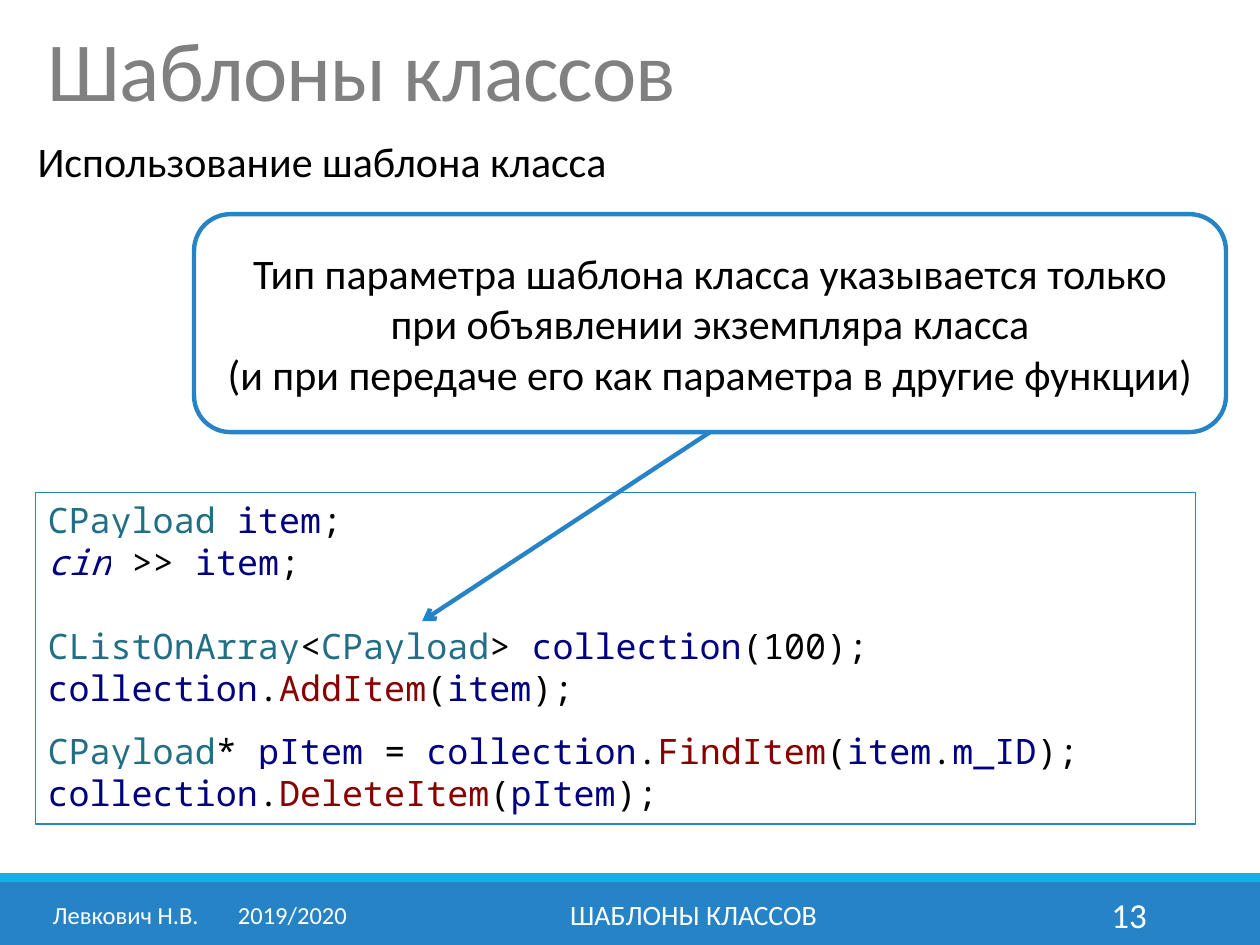
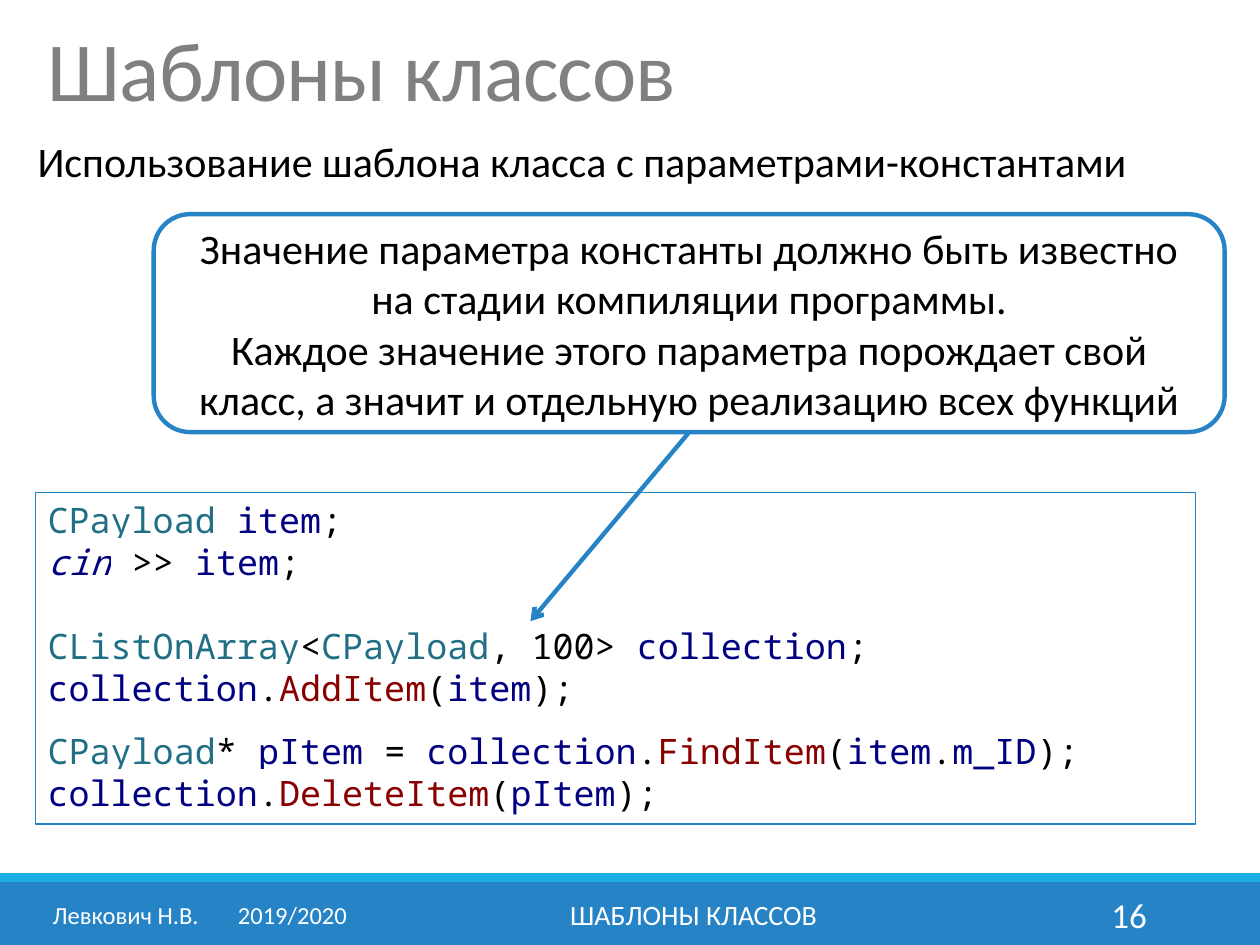
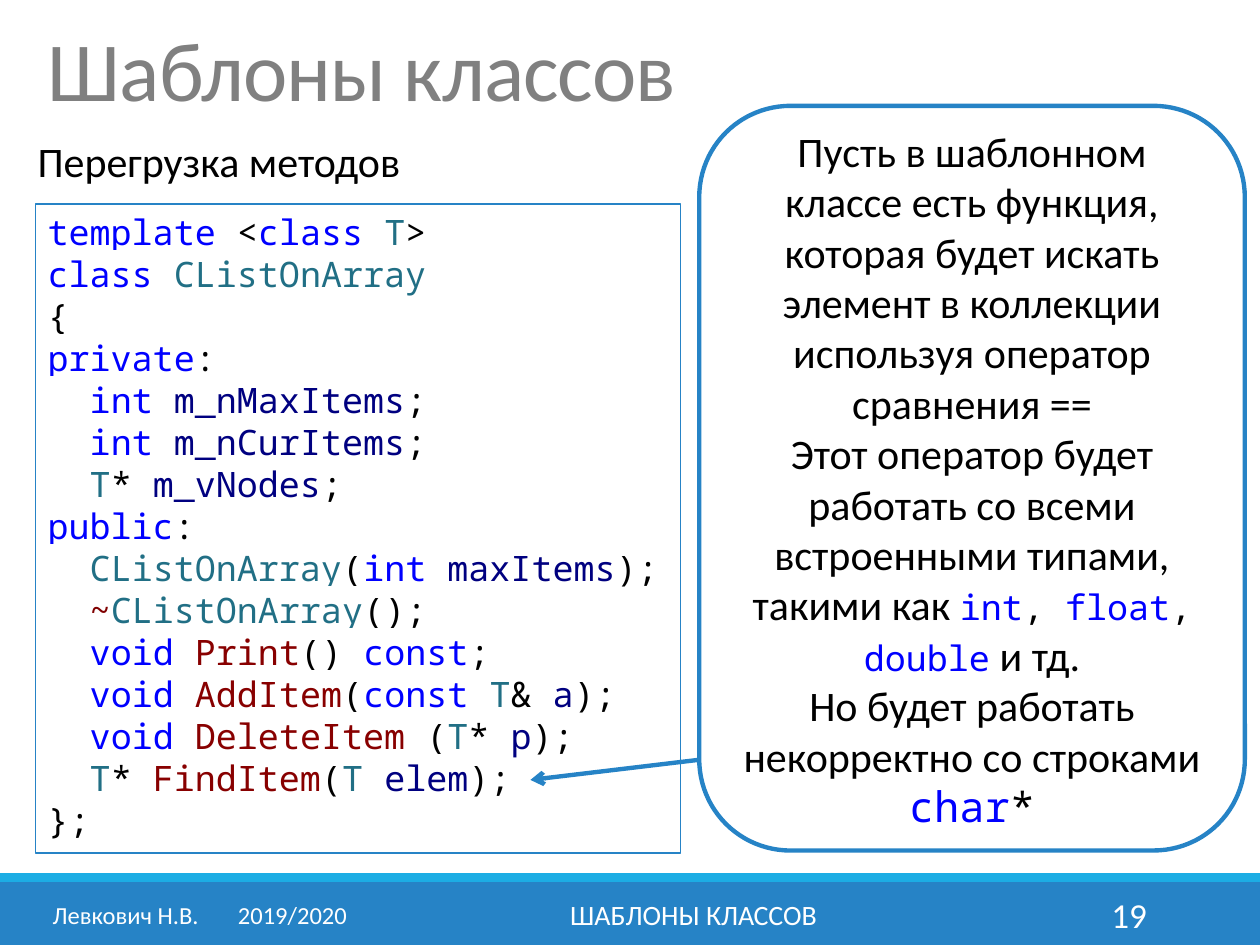
"""Build three lecture slides on class templates in C++."""
import itertools

import pptx
import pptx.dml.color
import pptx.enum.shapes
import pptx.enum.text
import pptx.oxml
import pptx.oxml.ns
import pptx.util

Inches, Pt = pptx.util.Inches, pptx.util.Pt
KINDS = pptx.enum.shapes.MSO_SHAPE
ALIGN = pptx.enum.text.PP_ALIGN
ANCHOR = pptx.enum.text.MSO_ANCHOR
FIT = pptx.enum.text.MSO_AUTO_SIZE

SANS, MONO = "Calibri", "Noto Sans Mono"
BLUE, SKY, GREY, WHITE, BLACK = "2683C6", "1CADE4", "808080", "FFFFFF", "000000"
NAVY = "000080"
WORDS = {
    "0000FF": "template class private public int float double char void const",
    "216F85": "CPayload CListOnArray T",
    "880000": "AddItem FindItem DeleteItem Print",
    "800000": "~",
}
HUES = {word: hue for hue, words in WORDS.items() for word in words.split()}

TITLE = "Шаблоны классов"
BANDS = [((0, 7, 10, 0.5), BLUE), ((0, 6.93, 10, 0.07), SKY)]
AUTHOR = "Левкович Н.В. \t2019/2020"

USAGE = """CPayload item;
cin >> item;

{}
collection.AddItem(item);
CPayload* pItem = collection.FindItem(item.m_ID);
collection.DeleteItem(pItem);"""
CLASS = """template <class T>
class CListOnArray
{
private:
  int m_nMaxItems;
  int m_nCurItems;
  T* m_vNodes;
public:
  CListOnArray(int maxItems);
  ~CListOnArray();
  void Print() const;
  void AddItem(const T& a);
  void DeleteItem (T* p);
  T* FindItem(T elem);
};"""
LOW, TALL = (0.28, 3.91, 9.21, 2.63), (0.28, 1.62, 5.12, 5.15)

SLIDES = [
    {
        "page": "13", "topic": "Использование шаблона класса", "depth": 4.57,
        "code": USAGE.format("CListOnArray<CPayload> collection(100);"), "area": LOW,
        "note": [
            ["Тип параметра шаблона класса указывается только при объявлении экземпляра класса"],
            ["(и при передаче его как параметра в другие функции)"],
        ],
        "frame": (1.54, 1.7, 8.19, 1.73), "start": None, "tip": (3.35, 4.93),
    },
    {
        "page": "16", "topic": "Использование шаблона класса с параметрами-константами", "depth": 4.57,
        "code": USAGE.format("CListOnArray<CPayload, 100> collection;"), "area": LOW,
        "note": [
            ["Значение параметра константы должно быть известно на стадии компиляции программы."],
            ["Каждое значение этого параметра порождает свой класс, "
             "а значит и отдельную реализацию всех функций"],
        ],
        "frame": (1.22, 1.7, 8.5, 1.73), "start": None, "tip": (4.21, 4.93),
    },
    {
        "page": "19", "topic": "Перегрузка методов", "depth": 0.47,
        "code": CLASS, "area": TALL,
        "note": [
            ["Пусть в шаблонном классе есть функция, которая будет искать "
             "элемент в коллекции используя оператор сравнения =="],
            ["Этот оператор будет работать со всеми встроенными типами, такими как ",
             ("int, float, double", 20), " и тд."],
            ["Но будет работать некорректно со строками ", ("char*", 24)],
        ],
        "frame": (5.55, 0.84, 4.33, 5.91), "start": (5.55, 6.03), "tip": (4.21, 6.19),
    },
]


def tint(hue):
    return pptx.dml.color.RGBColor.from_string(hue)


def node(tag, attrs="", inner=""):
    space = pptx.oxml.ns.nsdecls("a")
    return pptx.oxml.parse_xml(f"<a:{tag} {space} {attrs}>{inner}</a:{tag}>")


def style(font, name, size, hue):
    font.name, font.size = name, Pt(size)
    font.color.rgb = tint(hue)


def label(slide, box, text, size, hue=WHITE, align=ALIGN.LEFT, anchor=ANCHOR.MIDDLE, tab=None):
    frame = slide.shapes.add_textbox(*map(Inches, box)).text_frame
    frame.word_wrap, frame.vertical_anchor = True, anchor
    para = frame.paragraphs[0]
    para.text, para.alignment = text, align
    if tab:
        stop = node("tabLst", inner=f'<a:tab pos="{Inches(tab)}" algn="l"/>')
        para._p.get_or_add_pPr().append(stop)
    style(para.font, SANS, size, hue)
    return para


def panel(slide, kind, box, fill=None, width=None):
    shape = slide.shapes.add_shape(kind, *map(Inches, box))
    shape.shadow.inherit = False
    if fill:
        shape.fill.solid()
        shape.fill.fore_color.rgb = tint(fill)
    else:
        shape.fill.background()
    if width:
        shape.line.color.rgb, shape.line.width = tint(BLUE), Pt(width)
    else:
        shape.line.fill.background()
    return shape


def paint(para, text, size=None):
    """Add runs of code, coloured by word; a size also sets the code font."""
    for named, chars in itertools.groupby(text, lambda c: c.isalnum() or c == "_"):
        word = "".join(chars)
        run = para.add_run()
        run.text = word
        plain = NAVY if named and word[0].isalpha() else BLACK
        run.font.color.rgb = tint(HUES.get(word.strip(), plain))
        glow = node("highlight", inner=f'<a:srgbClr val="{WHITE}"/>')
        run._r.get_or_add_rPr().append(glow)
        if word == "cin":
            run.font.italic = True
        if size:
            run.font.name, run.font.size = MONO, Pt(size)


def lines(frame, count):
    """Give the frame's paragraphs, as many as asked for."""
    return [frame.paragraphs[0]] + [frame.add_paragraph() for _ in range(count - 1)]


def listing(slide, box, code):
    shape = panel(slide, KINDS.RECTANGLE, box, width=0.75)
    frame = shape.text_frame
    frame.vertical_anchor, frame.auto_size = ANCHOR.TOP, FIT.SHAPE_TO_FIT_TEXT
    rows = code.split("\n")
    pairs = [(row, prev) for prev, row in zip([None] + rows, rows) if row]
    for para, (row, prev) in zip(lines(frame, len(pairs)), pairs):
        para.alignment = ALIGN.LEFT
        if prev == "":
            para.space_before = Pt(24)
        elif row.startswith("CPayload*"):
            para.space_before = Pt(12)
        style(para.font, MONO, 20, BLACK)
        paint(para, row)


def callout(slide, box, note):
    shape = panel(slide, KINDS.ROUNDED_RECTANGLE, box, width=2.5)
    for para, parts in zip(lines(shape.text_frame, len(note)), note):
        para.alignment = ALIGN.CENTER
        style(para.font, SANS, 24, BLACK)
        for part in parts:
            if isinstance(part, tuple):
                paint(para, *part)
            else:
                para.add_run().text = part
    return shape


def arrow(slide, shape, start, tip):
    ends = map(Inches, (start or tip) + tip)
    link = slide.shapes.add_connector(pptx.enum.shapes.MSO_CONNECTOR.STRAIGHT, *ends)
    if not start:
        link.begin_connect(shape, 2)
    link.line.color.rgb, link.line.width = tint(BLUE), Pt(2.5)
    props = link.element.spPr
    props.find(pptx.oxml.ns.qn("a:ln")).append(node("tailEnd", 'type="arrow"'))
    props.append(node("effectLst"))


def head(slide):
    title = slide.shapes.title
    title.left, title.top, title.width, title.height = map(Inches, (0.28, 0.21, 9.45, 0.79))
    frame = title.text_frame
    frame.text = TITLE
    frame.vertical_anchor, frame.auto_size = ANCHOR.TOP, FIT.NONE
    para = frame.paragraphs[0]
    para.alignment, para.line_spacing = ALIGN.LEFT, 0.85
    style(para.font, SANS, 48, GREY)
    para.runs[0]._r.get_or_add_rPr().set("spc", "-50")


def foot(slide, page):
    for box, hue in BANDS:
        panel(slide, KINDS.RECTANGLE, box, fill=hue)
    label(slide, (0.32, 7.06, 2.61, 0.4), AUTHOR, 14, tab=1.47)
    label(slide, (3.02, 7.06, 4.97, 0.4), TITLE.upper(), 16, align=ALIGN.CENTER)
    label(slide, (8.12, 7.06, 1.08, 0.4), page, 20, align=ALIGN.RIGHT)


def main():
    deck = pptx.Presentation()
    deck.slide_width, deck.slide_height = Inches(10), Inches(7.5)
    for item in SLIDES:
        slide = deck.slides.add_slide(deck.slide_layouts[5])
        foot(slide, item["page"])
        head(slide)
        topic = label(slide, (0.2, 1.07, 9.53, item["depth"]), item["topic"], 24, BLACK,
                      anchor=ANCHOR.TOP)
        topic.line_spacing = 0.9
        listing(slide, item["area"], item["code"])
        shape = callout(slide, item["frame"], item["note"])
        arrow(slide, shape, item["start"], item["tip"])
    deck.save("out.pptx")


if __name__ == "__main__":
    main()
